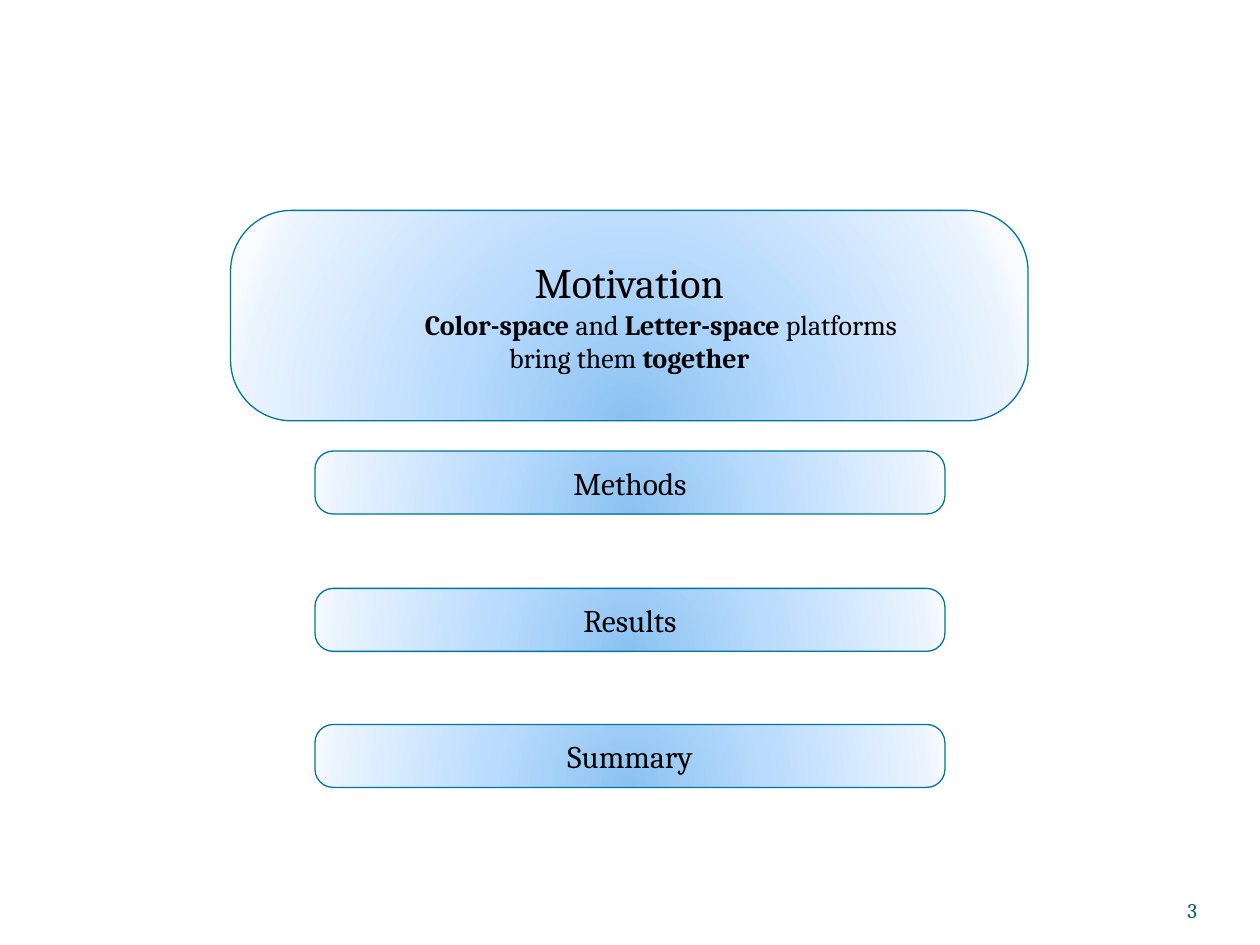
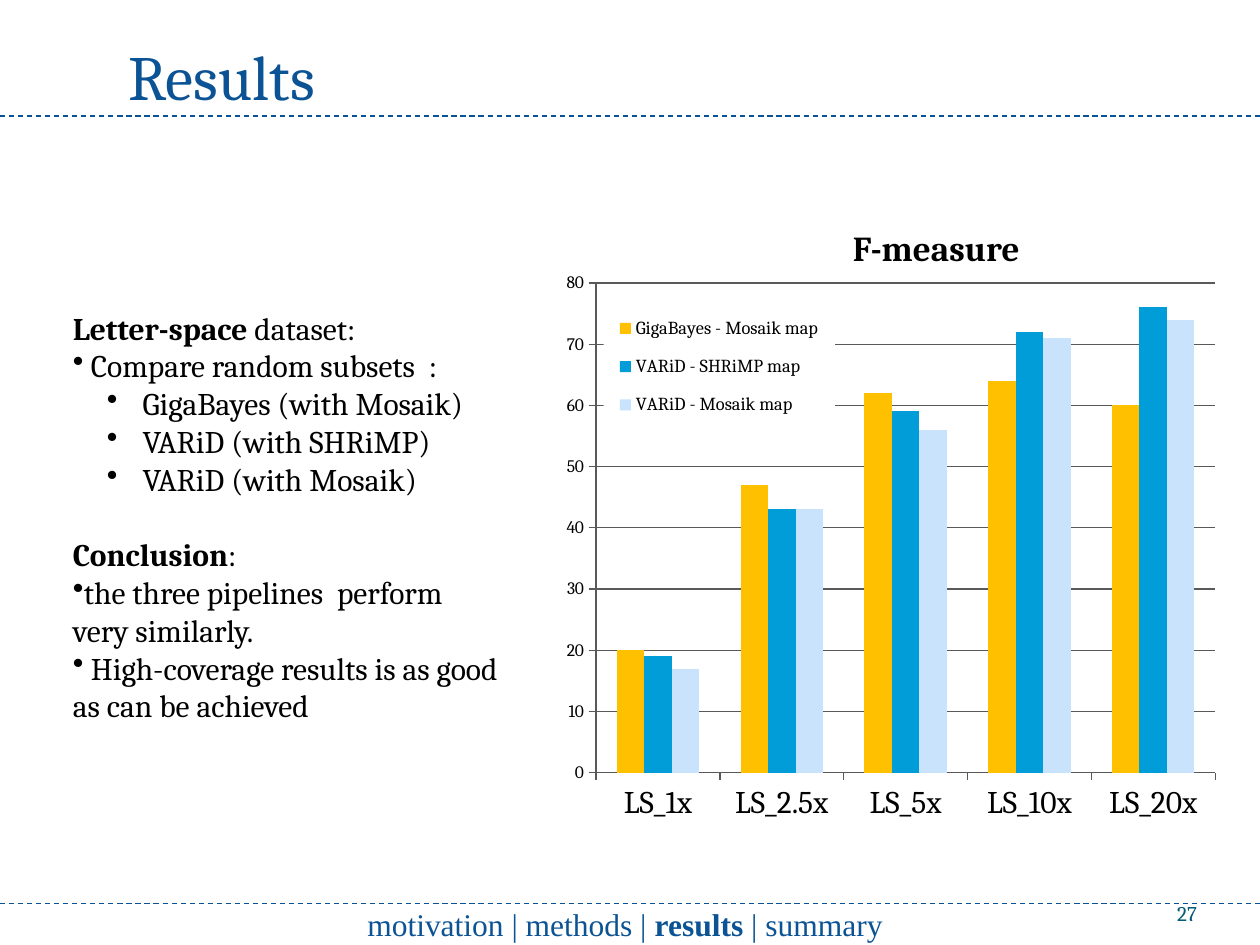
from dataclasses import dataclass

from lxml import etree
from pptx import Presentation
from pptx.chart.data import CategoryChartData
from pptx.dml.color import RGBColor
from pptx.enum.chart import XL_CHART_TYPE, XL_LEGEND_POSITION, XL_TICK_MARK
from pptx.enum.dml import MSO_LINE
from pptx.enum.shapes import MSO_CONNECTOR, MSO_SHAPE
from pptx.enum.text import MSO_ANCHOR, PP_ALIGN
from pptx.oxml import parse_xml
from pptx.oxml.ns import nsdecls, qn
from pptx.util import Inches, Pt


@dataclass(frozen=True)
class Theme:
    font: str = "Cambria"
    serif: str = "Times New Roman"
    black: str = "000000"
    blue: str = "0B5394"
    rule: str = "095295"
    teal: str = "045D75"
    edge: str = "0074A1"
    grid: str = "595959"
    glow: tuple = ((0, "8BC2F1"), (43, "B9DBFD"), (93, "EAF3FE"), (100, "F8FBFF"))
    bars: tuple = ("FFC000", "009DD9", "C8E3FB")
    title: int = 36
    head: int = 24
    label: int = 20
    body: int = 18
    sub: int = 16
    small: int = 12
    key: float = 10.5
    tick: int = 10


theme = Theme()


def write(frame, text, size=theme.body, color=theme.black, font=theme.font,
          align=PP_ALIGN.LEFT, bullet=False, left=0, hang=0, before=0):
    """Add a paragraph; words between asterisks are bold."""
    para = frame.paragraphs[0]
    if para.runs:
        para = frame.add_paragraph()
    para.alignment = align
    props = para._p.get_or_add_pPr()
    props.set("marL", str(Inches(left)))
    props.set("indent", str(Inches(-hang)))
    if before:
        para.space_before = Pt(before)
    if bullet:
        etree.SubElement(props, qn("a:buChar")).set("char", "•")
    for i, part in enumerate(text.split("*")):
        for j, line in enumerate(part.split("\n")):
            if j:
                para.add_line_break()
            if line:
                run = para.add_run()
                run.text = line
                run.font.size = Pt(size)
                run.font.name = font
                run.font.bold = i % 2 == 1
                run.font.color.rgb = RGBColor.from_string(color)


def layout(x, y, w, h, inner=False):
    """Give a manual chart layout in fractions of the chart."""
    target = '<c:layoutTarget val="inner"/>' if inner else ""
    return parse_xml(
        f'<c:layout {nsdecls("c")}><c:manualLayout>{target}'
        '<c:xMode val="edge"/><c:yMode val="edge"/>'
        f'<c:x val="{x}"/><c:y val="{y}"/><c:w val="{w}"/><c:h val="{h}"/>'
        '</c:manualLayout></c:layout>')


deck = Presentation()
deck.slide_width, deck.slide_height = Inches(10), Inches(7.5)
blank = deck.slide_layouts[6]
plan, result = [deck.slides.add_slide(blank) for _ in range(2)]

# Page numbers
for slide, num, top in ((plan, "3", 6.92), (result, "27", 6.95)):
    frame = slide.shapes.add_textbox(
        Inches(8.67), Inches(top), Inches(0.83), Inches(0.4)).text_frame
    frame.margin_left = frame.margin_right = 0
    frame.margin_top = frame.margin_bottom = 0
    frame.word_wrap = True
    frame.vertical_anchor = MSO_ANCHOR.BOTTOM
    write(frame, num, size=theme.small, color=theme.teal, align=PP_ALIGN.RIGHT)

# Outline: one large box, then three small ones at equal steps
stops = "".join(f'<a:gs pos="{pos * 1000}"><a:srgbClr val="{tint}"/></a:gs>'
                for pos, tint in theme.glow)
boxes = [("Motivation", 1.83, 1.67, 6.33, 1.67)]
for i, name in enumerate(("Methods", "Results", "Summary")):
    boxes.append((name, 2.5, round(3.58 + i * 1.085, 2), 5, 0.5))

for name, *place in boxes:
    box = plan.shapes.add_shape(
        MSO_SHAPE.ROUNDED_RECTANGLE, *[Inches(n) for n in place])
    box.adjustments[0] = 0.29
    box.shadow.inherit = False
    box.line.color.rgb = RGBColor.from_string(theme.edge)
    box.line.width = Pt(0.75)
    box.fill.gradient()
    old = box._element.spPr.find(qn("a:gradFill"))
    old.getparent().replace(old, parse_xml(
        f'<a:gradFill {nsdecls("a")} rotWithShape="1"><a:gsLst>{stops}</a:gsLst>'
        '<a:path path="circle"><a:fillToRect l="50000" t="130000" '
        'r="50000" b="-30000"/></a:path></a:gradFill>'))
    frame = box.text_frame
    frame.word_wrap = True
    frame.vertical_anchor = MSO_ANCHOR.MIDDLE
    main = name == "Motivation"
    write(frame, name, size=theme.head if main else theme.body,
          align=PP_ALIGN.CENTER)
    if main:
        write(frame, "*Color-space *and *Letter-space* platforms",
              size=theme.sub, align=PP_ALIGN.CENTER, left=0.5)
        write(frame, "bring them *together*", size=theme.sub,
              align=PP_ALIGN.CENTER)

# Dashed rules
for y in (0.92, 7.17):
    rule = result.shapes.add_connector(
        MSO_CONNECTOR.STRAIGHT, 0, Inches(y), Inches(10), Inches(y))
    rule.line.color.rgb = RGBColor.from_string(theme.rule)
    rule.line.width = Pt(0.75)
    rule.line.dash_style = MSO_LINE.DASH
    etree.SubElement(rule._element.spPr, qn("a:effectLst"))

# Section trail
trail = result.shapes.add_textbox(
    Inches(2.42), Inches(7.17), Inches(5.08), Inches(0.33)).text_frame
trail.word_wrap = True
trail.vertical_anchor = MSO_ANCHOR.MIDDLE
write(trail, "motivation | methods | *results* | summary", color=theme.blue,
      font=theme.serif, align=PP_ALIGN.CENTER)

# Chart
data = CategoryChartData()
data.categories = ["LS_1x", "LS_2.5x", "LS_5x", "LS_10x", "LS_20x"]
data.add_series("GigaBayes - Mosaik map", (20, 47, 62, 64, 60))
data.add_series("VARiD - SHRiMP map", (19, 43, 59, 72, 76))
data.add_series("VARiD - Mosaik map", (17, 43, 56, 71, 74))
chart = result.shapes.add_chart(
    XL_CHART_TYPE.COLUMN_CLUSTERED, Inches(4.08), Inches(2), Inches(5.92),
    Inches(4.92), data).chart
chart.has_title = False
chart.font.name = theme.font
chart.font.size = Pt(theme.tick)
chart.font.color.rgb = RGBColor.from_string(theme.black)

plot = chart.plots[0]
plot.vary_by_categories = False
plot.gap_width, plot.overlap = 150, 0
for bar, tint in zip(plot.series, theme.bars):
    bar.format.fill.solid()
    bar.format.fill.fore_color.rgb = RGBColor.from_string(tint)

cats, vals = chart.category_axis, chart.value_axis
vals.minimum_scale, vals.maximum_scale, vals.major_unit = 0, 80, 10
vals.has_major_gridlines = True
for line in (cats.format.line, vals.format.line, vals.major_gridlines.format.line):
    line.color.rgb = RGBColor.from_string(theme.grid)
    line.width = Pt(0.75)
for axis, size in ((cats, theme.body), (vals, theme.tick)):
    axis.major_tick_mark = XL_TICK_MARK.OUTSIDE
    axis.tick_labels.font.size = Pt(size)

# Plot area and white legend laid over it
area = chart._chartSpace.chart.plotArea
for old in area.findall(qn("c:layout")):
    area.remove(old)
area.insert(0, layout(0.11, 0.05, 0.83, 0.79, inner=True))

chart.has_legend = True
key = chart.legend
key.position = XL_LEGEND_POSITION.RIGHT
key.include_in_layout = False
key.font.size = Pt(theme.key)
node = key._element
for old in node.findall(qn("c:layout")):
    node.remove(old)
node.find(qn("c:legendPos")).addnext(layout(0.12, 0.08, 0.31, 0.21))
node.find(qn("c:txPr")).addprevious(parse_xml(
    f'<c:spPr {nsdecls("c", "a")}><a:solidFill><a:srgbClr val="FFFFFF"/>'
    '</a:solidFill></c:spPr>'))

# Slide title, chart title and findings
frames = []
for place in ((0.92, 0.25, 1.77, 0.71), (6.67, 1.75, 1.59, 0.44),
              (0.48, 2.4, 3.86, 3.43)):
    frame = result.shapes.add_textbox(*[Inches(n) for n in place]).text_frame
    frame.word_wrap = False
    frames.append(frame)
title, label, notes = frames
write(title, "Results", size=theme.title, color=theme.blue)
write(label, "*F-measure*", size=theme.label)

write(notes, "*Letter-space* dataset:")
write(notes, " Compare random subsets  :", bullet=True)
for tool in ("GigaBayes (with Mosaik)", "VARiD (with SHRiMP)",
             "VARiD (with Mosaik)"):
    write(notes, " " + tool, bullet=True, left=0.5, hang=0.23)
write(notes, "*Conclusion*:", before=21.5)
write(notes, "the three pipelines  perform", bullet=True)
write(notes, "very similarly.")
write(notes, " High-coverage results is as good \nas can be achieved", bullet=True)

deck.save("out.pptx")
